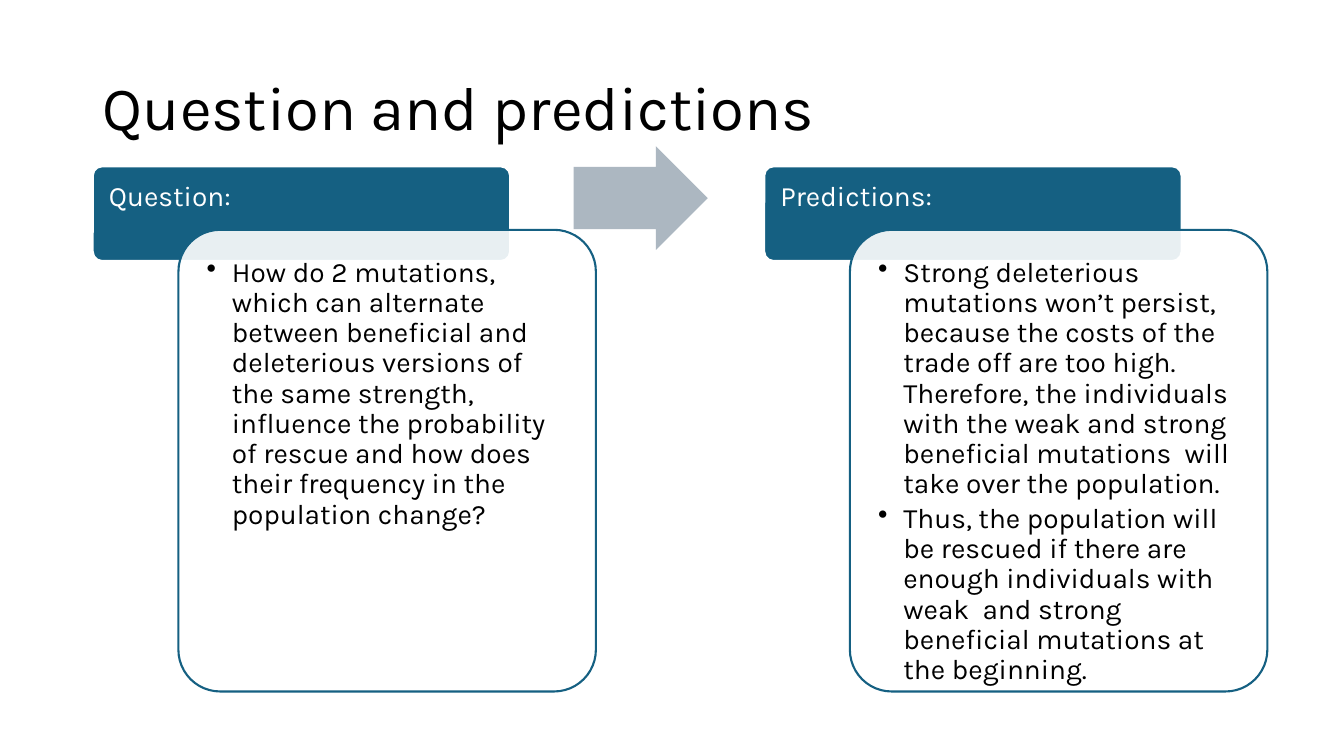
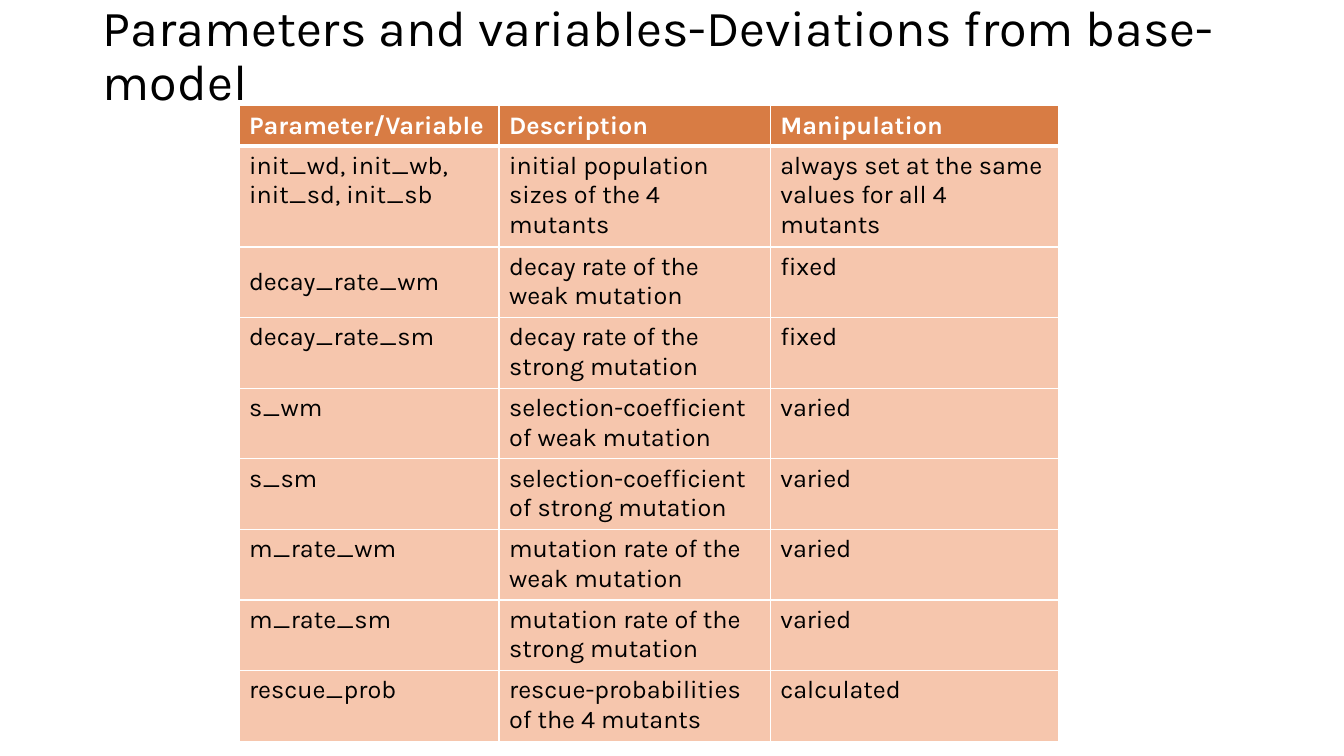
from pptx import Presentation
from pptx.dml.color import RGBColor
from pptx.enum.shapes import MSO_SHAPE
from pptx.enum.text import MSO_ANCHOR, PP_ALIGN
from pptx.oxml.xmlchemy import OxmlElement
from pptx.util import Inches, Pt

ROUNDED, ARROW = MSO_SHAPE.ROUNDED_RECTANGLE, MSO_SHAPE.RIGHT_ARROW
TOP, MIDDLE, BOTTOM = MSO_ANCHOR.TOP, MSO_ANCHOR.MIDDLE, MSO_ANCHOR.BOTTOM
LEFT = PP_ALIGN.LEFT

FONT = "Karla"
BLACK, WHITE, TEAL, GREY = "000000", "FFFFFF", "156082", "ACB7C1"
ORANGE, PEACH = "D87C44", "F6C6AD"
TITLE_LEFT, TITLE_WIDTH, TITLE_HEIGHT = 0.92, 11.5, 1.45


def rgb(hex_code):
    return RGBColor.from_string(hex_code)


def write(frame, paragraphs, size, color, insets=(0.1, 0.05, 0.1, 0.05),
          anchor=TOP, spacing=0.9, after=0, bold=False):
    """Fill a text frame; insets run left, top, right, bottom."""
    left, top, right, bottom = map(Inches, insets)
    settings = {"word_wrap": True, "vertical_anchor": anchor,
                "margin_left": left, "margin_top": top,
                "margin_right": right, "margin_bottom": bottom}
    for key, value in settings.items():
        setattr(frame, key, value)
    for number, text in enumerate(paragraphs):
        paragraph = frame.add_paragraph() if number else frame.paragraphs[0]
        paragraph.text = text
        paragraph.alignment = LEFT
        paragraph.line_spacing = spacing
        paragraph.space_after = Pt(after)
        for key, value in {"name": FONT, "size": Pt(size), "bold": bold}.items():
            setattr(paragraph.font, key, value)
        paragraph.font.color.rgb = rgb(color)


prs = Presentation()
prs.slide_width, prs.slide_height = Inches(13.33), Inches(7.5)
blank = prs.slide_layouts[6]

# Slides and their titles: text, size, top, anchor, bottom inset
titles = [("Question and predictions", 44, 0.4, MIDDLE, 0.05),
          ("Parameters and variables-Deviations from base-model", 36, 0.12, BOTTOM, 0.46)]
slides = []
for text, size, top, anchor, bottom_inset in titles:
    slide = prs.slides.add_slide(blank)
    title = slide.shapes.add_textbox(Inches(TITLE_LEFT), Inches(top),
                                     Inches(TITLE_WIDTH), Inches(TITLE_HEIGHT))
    write(title.text_frame, [text], size, BLACK, (0.1, 0, 0.1, bottom_inset), anchor)
    slides.append(slide)
process_slide, table_slide = slides

# Question and predictions: a heading card with a body card overlapping it
steps = [
    ("Question:", [
        "How do 2 mutations, which can alternate between beneficial and deleterious "
        "versions of the same strength, influence the probability of rescue and how "
        "does their frequency in the population change?"]),
    ("Predictions:", [
        "Strong deleterious mutations won’t persist, because the costs of the trade off "
        "are too high. Therefore, the individuals with the weak and strong beneficial "
        "mutations  will take over the population.",
        "Thus, the population will be rescued if there are enough individuals with "
        "weak  and strong beneficial mutations at the beginning."]),
]
STEP_LEFT, STEP_PITCH, CARD_WIDTH = 0.92, 6.66, 4.14
BODY_SHIFT, BODY_PADDING = 0.85, 0.12
for number, (heading, points) in enumerate(steps):
    left = STEP_LEFT + number * STEP_PITCH
    body_left = left + BODY_SHIFT
    cards = [(left, 1.65, 0.94, TEAL, WHITE), (body_left, 2.28, 4.58, WHITE, TEAL)]
    for card_left, top, height, fill, line in cards:
        card = process_slide.shapes.add_shape(
            ROUNDED, Inches(card_left), Inches(top), Inches(CARD_WIDTH), Inches(height))
        card.adjustments[0] = 0.1
        card.shadow.inherit = False
        card.fill.solid()
        card.fill.fore_color.rgb = rgb(fill)
        card.line.color.rgb = rgb(line)
        card.line.width = Pt(1.5)
        if fill == WHITE:
            alpha = OxmlElement("a:alpha")
            alpha.set("val", "90000")
            card.fill._xPr.find(".//{*}srgbClr").append(alpha)
        else:
            label = process_slide.shapes.add_textbox(
                Inches(left), Inches(top), Inches(CARD_WIDTH), Inches(0.63))
            write(label.text_frame, [heading], 20, WHITE, (0.16, 0.16, 0.16, 0.08))

    body = process_slide.shapes.add_textbox(
        Inches(body_left + BODY_PADDING), Inches(2.4), Inches(3.9), Inches(4.34))
    write(body.text_frame, points, 20, BLACK, (0.16,) * 4, after=3)
    for paragraph in body.text_frame.paragraphs:
        properties = paragraph._p.get_or_add_pPr()
        properties.set("marL", str(Inches(0.25)))
        properties.set("indent", str(-Inches(0.25)))
        bullet = OxmlElement("a:buChar")
        bullet.set("char", "•")
        properties.append(bullet)

# Arrow between the two steps
arrow = process_slide.shapes.add_shape(
    ARROW, Inches(5.69), Inches(1.45), Inches(1.33), Inches(1.03))
arrow.adjustments[0], arrow.adjustments[1] = 0.6, 0.5
arrow.shadow.inherit = False
arrow.fill.solid()
arrow.fill.fore_color.rgb = rgb(GREY)
arrow.line.fill.background()

# Parameter table
rows = [
    ("Parameter/Variable", "Description", "Manipulation"),
    ("init_wd, init_wb, init_sd, init_sb", "initial population sizes of the 4 mutants",
     "always set at the same values for all 4 mutants"),
    ("decay_rate_wm", "decay rate of the weak mutation", "fixed"),
    ("decay_rate_sm", "decay rate of the strong mutation", "fixed"),
    ("s_wm", "selection-coefficient of weak mutation", "varied"),
    ("s_sm", "selection-coefficient of strong mutation", "varied"),
    ("m_rate_wm", "mutation rate of the weak mutation", "varied"),
    ("m_rate_sm", "mutation rate of the strong mutation", "varied"),
    ("rescue_prob", "rescue-probabilities of the 4 mutants", "calculated"),
]
column_widths = [2.58, 2.69, 2.86]
row_heights = [0.39, 0.97] + [0.69] * (len(rows) - 2)
table = table_slide.shapes.add_table(
    len(rows), len(column_widths), Inches(2.37), Inches(1.05),
    Inches(sum(column_widths)), Inches(sum(row_heights))).table
for column, width in zip(table.columns, column_widths):
    column.width = Inches(width)
for row_number, (row, height) in enumerate(zip(rows, row_heights)):
    table.rows[row_number].height = Inches(height)
    is_header = row_number == 0
    # The rule under the header is heavier than the other borders
    borders = {"a:lnL": 1, "a:lnR": 1, "a:lnT": 3 if row_number == 1 else 1,
               "a:lnB": 3 if is_header else 1}
    for column_number, text in enumerate(row):
        cell = table.cell(row_number, column_number)
        write(cell.text_frame, [text], 18, WHITE if is_header else BLACK,
              spacing=1.5 if text == "decay_rate_wm" else 1.0, bold=is_header)
        cell_properties = cell._tc.get_or_add_tcPr()
        for tag, weight in borders.items():
            border = OxmlElement(tag)
            border.set("w", str(Pt(weight)))
            solid = OxmlElement("a:solidFill")
            color = OxmlElement("a:srgbClr")
            color.set("val", WHITE)
            solid.append(color)
            border.append(solid)
            cell_properties.append(border)
        cell.fill.solid()
        cell.fill.fore_color.rgb = rgb(ORANGE if is_header else PEACH)

prs.save("out.pptx")
